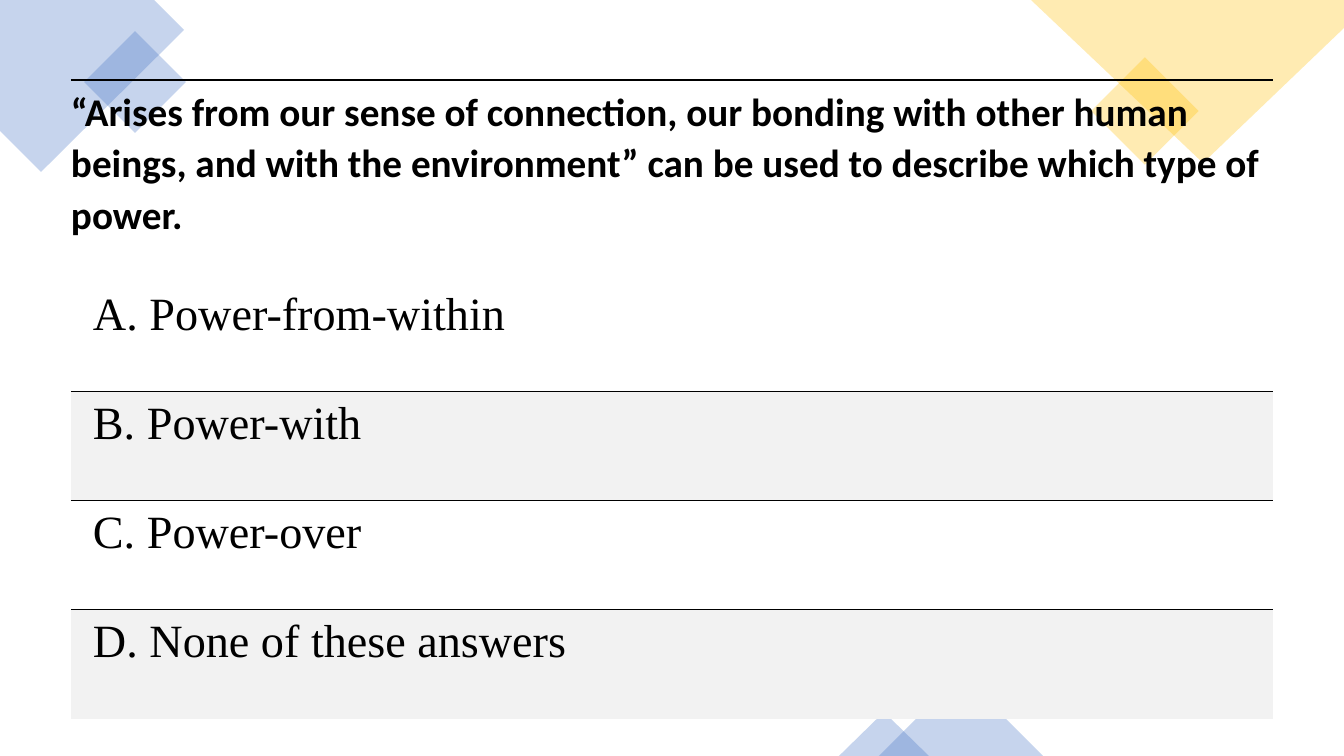
from dataclasses import dataclass

import pptx
import pptx.dml.color
import pptx.enum.shapes
import pptx.oxml
import pptx.oxml.ns
import pptx.util

EMU_PER_PX = 914400 / 100.8
COLORS = {"blue": "4472C4", "gold": "FFC000", "band": "F2F2F2", "black": "000000"}
NO_STYLE_NO_GRID = "{2D5ABB26-0587-4C30-8999-92F81FD0307C}"
A_NS = pptx.oxml.ns.nsdecls("a")
SHAPES = pptx.enum.shapes.MSO_SHAPE


def px(length: int) -> pptx.util.Emu:
    return pptx.util.Emu(round(length * EMU_PER_PX))


def rgb(name: str) -> pptx.dml.color.RGBColor:
    return pptx.dml.color.RGBColor.from_string(COLORS[name])


@dataclass
class Corner:
    """A large patch that runs off a slide corner."""
    points: list[tuple[int, int]]
    color: str


@dataclass
class Accent:
    """A preset shape of the decoration."""
    preset: SHAPES
    left: int
    top: int
    width: int
    height: int
    color: str
    rotation: int = 0


@dataclass
class Answer:
    text: str
    banded: bool


CORNERS = [
    Corner([(154, 0), (0, 0), (0, 131), (41, 172), (184, 30)], "blue"),
    Corner([(1344, 0), (1031, 0), (1203, 163), (1344, 28)], "gold"),
]
ACCENTS = [
    Accent(SHAPES.RECTANGLE, 99, 46, 72, 72, "blue", 315),
    Accent(SHAPES.RECTANGLE, 1107, 73, 76, 76, "gold", 315),
    Accent(SHAPES.ISOSCELES_TRIANGLE, 879, 674, 164, 82, "blue"),
    Accent(SHAPES.ISOSCELES_TRIANGLE, 839, 712, 90, 44, "blue"),
]
QUESTION = (
    "“Arises from our sense of connection, our bonding with other human beings, "
    "and with the environment” can be used to describe which type of power."
)
ANSWERS = [
    Answer("A. Power-from-within", False),
    Answer("B. Power-with", True),
    Answer("C. Power-over", False),
    Answer("D. None of these answers", True),
]
TABLE_LEFT, TABLE_TOP, TABLE_WIDTH = 71, 80, 1202
QUESTION_HEIGHT, ANSWER_HEIGHT = 202, 109


def tint(shape, color: str) -> None:
    """Give a decoration a 30% opaque fill and no outline."""
    shape.shadow.inherit = False
    shape.line.fill.background()
    shape.fill.solid()
    shape.fill.fore_color.rgb = rgb(color)
    shade = shape.fill._xPr.find(".//" + pptx.oxml.ns.qn("a:srgbClr"))
    shade.append(pptx.oxml.parse_xml(f'<a:alpha {A_NS} val="30000"/>'))


def draw_corner(slide, corner: Corner) -> None:
    start, *rest = [(px(x), px(y)) for x, y in corner.points]
    outline = slide.shapes.build_freeform(*start)
    outline.add_line_segments(rest, close=True)
    tint(outline.convert_to_shape(), corner.color)


def draw_accent(slide, accent: Accent) -> None:
    shape = slide.shapes.add_shape(
        accent.preset, px(accent.left), px(accent.top), px(accent.width), px(accent.height)
    )
    shape.rotation = accent.rotation
    tint(shape, accent.color)


def write(cell, text: str, *, font: str, size: int, bold: bool,
          margins: tuple[int, int, int, int]) -> None:
    """Fill a cell with text; margins are left, top, right, bottom."""
    (cell.margin_left, cell.margin_top,
     cell.margin_right, cell.margin_bottom) = map(px, margins)
    paragraph = cell.text_frame.paragraphs[0]
    paragraph.line_spacing = 1.07
    run = paragraph.add_run()
    run.text = text
    run.font.name = font
    run.font.size = pptx.util.Pt(size)
    run.font.bold = bold
    run.font.color.rgb = rgb("black")


def rule_above(cell, points: float) -> None:
    width = pptx.util.Pt(points)
    line = pptx.oxml.parse_xml(
        f'<a:lnT {A_NS} w="{width}"><a:solidFill><a:srgbClr val="{COLORS["black"]}"/>'
        f'</a:solidFill><a:prstDash val="solid"/></a:lnT>'
    )
    cell._tc.get_or_add_tcPr().insert(0, line)


def draw_quiz(slide) -> None:
    height = QUESTION_HEIGHT + ANSWER_HEIGHT * len(ANSWERS)
    quiz = slide.shapes.add_table(
        len(ANSWERS) + 1, 1, px(TABLE_LEFT), px(TABLE_TOP), px(TABLE_WIDTH), px(height)
    ).table
    quiz.first_row = quiz.horz_banding = False
    quiz._tbl.tblPr.find(pptx.oxml.ns.qn("a:tableStyleId")).text = NO_STYLE_NO_GRID

    # Question row
    quiz.rows[0].height = px(QUESTION_HEIGHT)
    question = quiz.cell(0, 0)
    write(question, QUESTION, font="Calibri", size=28, bold=True, margins=(0, 6, 14, 43))
    question.fill.background()
    rule_above(question, 2.25)

    # Answer rows
    for row, answer in enumerate(ANSWERS, start=1):
        quiz.rows[row].height = px(ANSWER_HEIGHT)
        choice = quiz.cell(row, 0)
        write(choice, answer.text, font="Times New Roman", size=33, bold=False,
              margins=(22, 3, 22, 0))
        if answer.banded:
            choice.fill.solid()
            choice.fill.fore_color.rgb = rgb("band")
            rule_above(choice, 0.5)
        else:
            choice.fill.background()


def main() -> None:
    deck = pptx.Presentation()
    deck.slide_width, deck.slide_height = px(1344), px(756)
    slide = deck.slides.add_slide(deck.slide_layouts[6])
    for corner in CORNERS:
        draw_corner(slide, corner)
    for accent in ACCENTS:
        draw_accent(slide, accent)
    draw_quiz(slide)
    deck.save("out.pptx")


if __name__ == "__main__":
    main()
